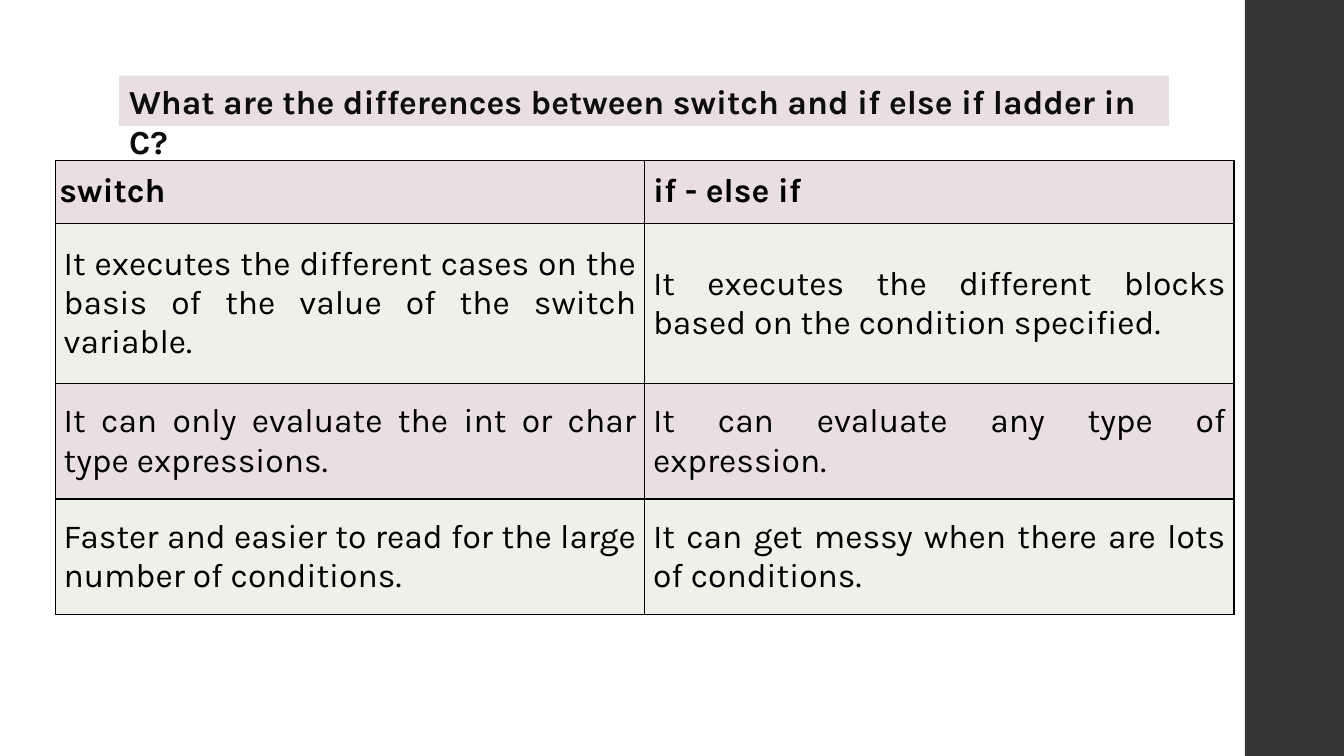
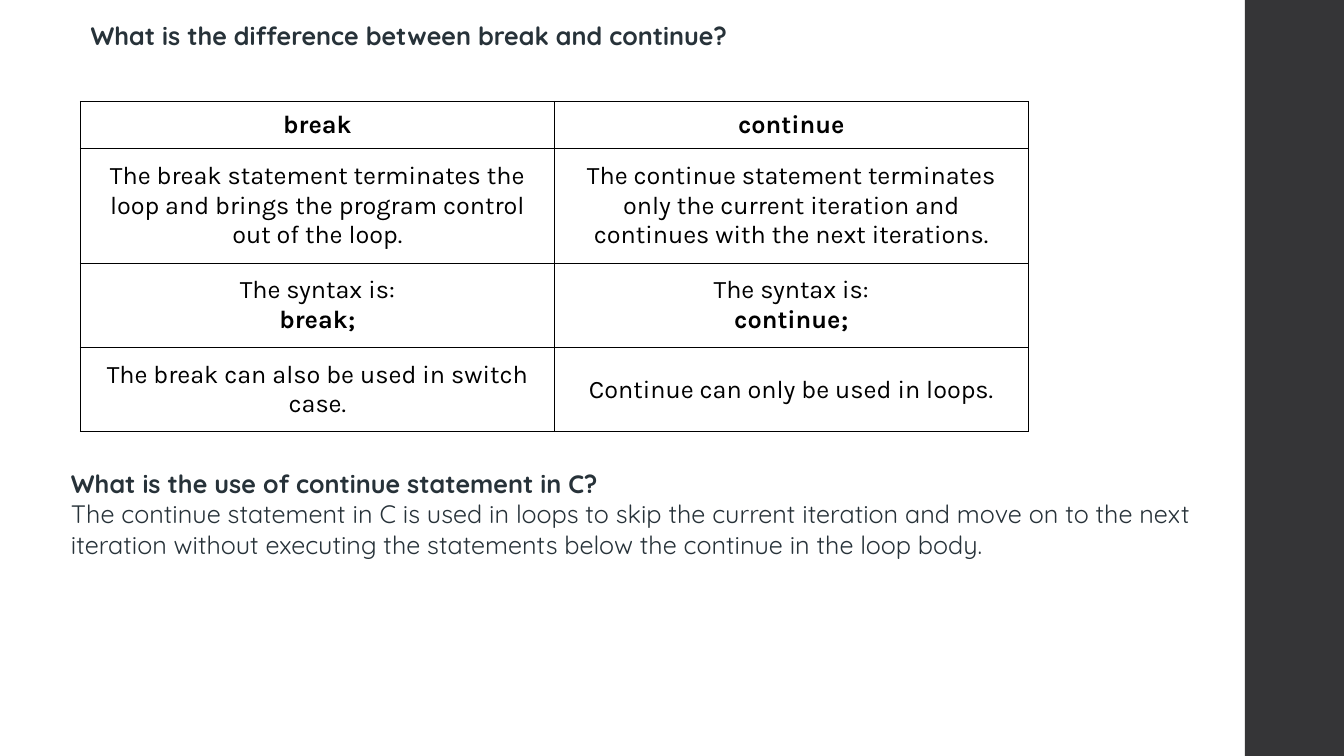
from pptx import Presentation
from pptx.dml.color import RGBColor
from pptx.enum.shapes import MSO_SHAPE as Shape
from pptx.enum.text import MSO_ANCHOR as Anchor, MSO_AUTO_SIZE as AutoSize, PP_ALIGN as Align
from pptx.oxml import parse_xml
from pptx.oxml.ns import nsdecls
from pptx.util import Pt

WHITE = RGBColor(0xFF, 0xFF, 0xFF)
BLACK = RGBColor(0x00, 0x00, 0x00)
INK = RGBColor(0x0D, 0x0D, 0x0D)
SLATE = RGBColor(0x27, 0x32, 0x39)
CHARCOAL = RGBColor(0x35, 0x35, 0x37)
ROSE = RGBColor(0xE9, 0xDF, 0xE3)
SAGE = RGBColor(0xED, 0xF1, 0xE7)

TITLE_AND_BODY, TITLE_ONLY = 1, 5
BOX_FORMAT = {"word_wrap": True, "auto_size": AutoSize.NONE, "vertical_anchor": Anchor.TOP}
PARAGRAPH_FORMAT = {"space_before": Pt(0), "space_after": Pt(0), "line_spacing": 1.0}


def assign(target, values):
    for name, value in values.items():
        setattr(target, name, value)


def place(shape, left, top, width, height):
    assign(shape, {"left": Pt(left), "top": Pt(top), "width": Pt(width), "height": Pt(height)})


class Deck:
    def __init__(self):
        self.prs = Presentation()
        assign(self.prs, {"slide_width": Pt(960), "slide_height": Pt(540)})
        self.slide = None

    def new_slide(self, layout):
        first = self.slide is None
        self.slide = self.prs.slides.add_slide(self.prs.slide_layouts[layout])
        if first:
            self.side_band()

    def side_band(self):
        """Draw the dark right-hand band and move it to the master, so every slide has it."""
        band = self.slide.shapes.add_shape(Shape.RECTANGLE, Pt(889.2), 0, Pt(72), Pt(540))
        band.shadow.inherit = False
        band.fill.solid()
        band.fill.fore_color.rgb = CHARCOAL
        band.line.fill.background()
        band.element.nvSpPr.cNvPr.set("id", "99")
        self.prs.slide_master.shapes.element.append(band.element)

    def fill_text(self, frame, lines, font, align):
        """Fill a text frame with (text, bold) lines, one paragraph each."""
        for index, (text, bold) in enumerate(lines):
            paragraph = frame.add_paragraph() if index else frame.paragraphs[0]
            assign(paragraph, {**PARAGRAPH_FORMAT, "alignment": align})
            run = paragraph.add_run()
            run.text = text
            name, size, color = font
            assign(run.font, {"name": name, "size": Pt(size), "bold": bold})
            run.font.color.rgb = color

    def title(self, text, box, font, fill=None):
        heading = self.slide.shapes.title
        place(heading, *box)
        if fill is not None:
            heading.fill.solid()
            heading.fill.fore_color.rgb = fill
        assign(heading.text_frame, BOX_FORMAT)
        self.fill_text(heading.text_frame, [(text, True)], font, Align.LEFT)

    def body(self, lines, box, font):
        answer = self.slide.placeholders[1]
        place(answer, *box)
        assign(answer.text_frame, BOX_FORMAT)
        self.fill_text(answer.text_frame, lines, font, Align.JUSTIFY)
        for paragraph in answer.text_frame.paragraphs:
            properties = paragraph._p.get_or_add_pPr()
            properties.set("marL", "0")
            properties.set("indent", "0")
            properties.append(parse_xml(f"<a:buNone {nsdecls('a')}/>"))

    def comparison(self, rows, corner, width, heights, size, align, fills):
        """Add a bordered two-column table; fills alternate by row, the first row is bold."""
        left, top = corner
        table = self.slide.shapes.add_table(
            len(rows), 2, Pt(left), Pt(top), Pt(width), Pt(sum(heights))).table
        assign(table, {"first_row": False, "horz_banding": False})
        for column in table.columns:
            column.width = Pt(width / 2)
        for r, (texts, height) in enumerate(zip(rows, heights)):
            table.rows[r].height = Pt(height)
            for c, content in enumerate(texts):
                side = 3 if r == c == 0 else 6
                edge = 9 if r else 6
                lines = [(content, r == 0)] if isinstance(content, str) else content
                self.cell(table.cell(r, c), lines, side, edge, size, align, fills[r % len(fills)])

    def cell(self, cell, lines, side, edge, size, align, fill):
        assign(cell, {"vertical_anchor": Anchor.MIDDLE,
                      "margin_left": Pt(side), "margin_right": Pt(side),
                      "margin_top": Pt(edge), "margin_bottom": Pt(edge)})
        properties = cell._tc.get_or_add_tcPr()
        for border in ("lnL", "lnR", "lnT", "lnB"):
            properties.append(parse_xml(
                f'<a:{border} {nsdecls("a")} w="{int(Pt(1))}"><a:solidFill>'
                f'<a:srgbClr val="{BLACK}"/></a:solidFill></a:{border}>'))
        cell.fill.solid()
        cell.fill.fore_color.rgb = fill
        self.fill_text(cell.text_frame, lines, ("Karla", size, BLACK), align)


def switch_slide(deck):
    deck.new_slide(TITLE_ONLY)
    deck.title("What are the differences between switch and if else if ladder in C?",
               (85, 54, 750, 36), ("Karla", 24, INK), ROSE)
    differences = [
        ("switch", "if - else if"),
        ("It executes the different cases on the basis of the value of the switch variable.",
         "It executes the different blocks based on the condition specified."),
        ("It can only evaluate the int or char type expressions.",
         "It can evaluate any type of expression."),
        ("Faster and easier to read for the large number of conditions.",
         "It can get messy when there are lots of conditions."),
    ]
    deck.comparison(differences, (39.5, 114.5), 842, (45, 114.5, 82.5, 82.5), 24,
                    Align.JUSTIFY, (ROSE, SAGE))


def break_slide(deck):
    question_font = ("Quicksand", 18, SLATE)
    deck.new_slide(TITLE_AND_BODY)
    deck.title("What is the difference between break and continue?",
               (57.5, 11, 480, 29), question_font)
    differences = [
        ("break", "continue"),
        ("The break statement terminates the loop and brings the program control "
         "out of the loop.",
         "The continue statement terminates only the current iteration and continues "
         "with the next iterations."),
        tuple([("The syntax is:", False), (keyword, True)] for keyword in ("break;", "continue;")),
        ("The break can also be used in switch case.",
         "Continue can only be used in loops."),
    ]
    deck.comparison(differences, (57.5, 72.5), 677, (33.5, 82, 60, 60), 18,
                    Align.CENTER, (WHITE,))
    deck.body([("What is the use of continue statement in C?", True),
               ("The continue statement in C is used in loops to skip the current iteration "
                "and move on to the next iteration without executing the statements below "
                "the continue in the loop body.", False)],
              (43.5, 331, 814, 73), question_font)


def main():
    deck = Deck()
    switch_slide(deck)
    break_slide(deck)
    deck.prs.save("out.pptx")


if __name__ == "__main__":
    main()
